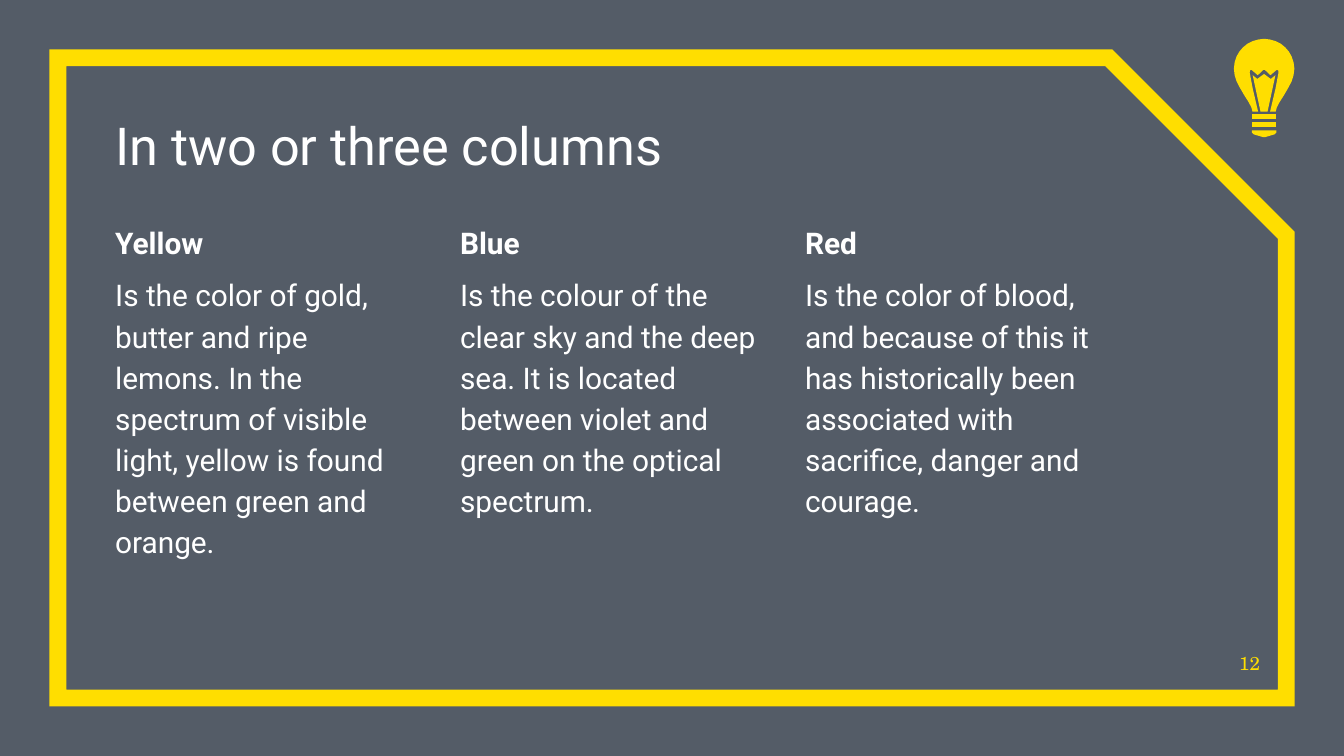
from lxml import etree
from pptx import Presentation
from pptx.dml.color import RGBColor
from pptx.enum.shapes import MSO_SHAPE
from pptx.enum.text import MSO_ANCHOR, MSO_AUTO_SIZE, PP_ALIGN
from pptx.oxml.ns import qn
from pptx.util import Pt

RECTANGLE = MSO_SHAPE.RECTANGLE
SNIPPED_RECTANGLE = MSO_SHAPE.SNIP_1_RECTANGLE
TOP, BOTTOM = MSO_ANCHOR.TOP, MSO_ANCHOR.BOTTOM
LEFT, RIGHT = PP_ALIGN.LEFT, PP_ALIGN.RIGHT
NO_AUTOFIT = MSO_AUTO_SIZE.NONE

WIDTH, HEIGHT = 720, 405
NAVY, YELLOW, WHITE, BLACK = "040F20", "FFDE00", "FFFFFF", "000000"
BODY_FONT, NUMBER_FONT = "Roboto", "TeX Gyre Schola"
MARGIN = 61.7
COLUMN_TOP, COLUMN_WIDTH, COLUMN_HEIGHT, COLUMN_PITCH = 117.5, 159, 224, 184.8

COLUMNS = [
    ("Yellow", "Is the color of gold, butter and ripe lemons. In the spectrum of "
     "visible light, yellow is found between green and orange."),
    ("Blue", "Is the colour of the clear sky and the deep sea. It is located "
     "between violet and green on the optical spectrum."),
    ("Red", "Is the color of blood, and because of this it has historically been "
     "associated with sacrifice, danger and courage."),
]

BULB_CENTER = 677.2
BULB_HALVES = [
    [(6.5, 65.5), (6.5, 68.2)],
    [(6.5, 61.2), (6.5, 63.9)],
    [(6.5, 69.8), (6.5, 71), (5.6, 72), (0.8, 73.4), (0, 73.5)],
    [(0, 39.6), (3.2, 42), (3.6, 42.3), (4, 42), (6.1, 40.3), (1.9, 59.8)],
    [(0, 20.8), (3.2, 21.2), (6.2, 22.1), (9, 23.5), (11.3, 25.4), (13.2, 27.6),
     (14.7, 30.2), (15.8, 33.4), (16.2, 36.8), (15.8, 40.3), (14.8, 43.5),
     (13.2, 46.6), (10.6, 51.1), (8.3, 54.7), (6.8, 57.6), (6.2, 59.8),
     (3.2, 59.8), (6.1, 47.5), (7.7, 38.9), (7.6, 37.9), (7, 37.4),
     (6.6, 37.6), (3.4, 40.3), (0.5, 37.6), (0, 37.4)],
]


def color(value):
    return RGBColor.from_string(value)


def place(shape, left, top, width, height):
    shape.left, shape.top = Pt(left), Pt(top)
    shape.width, shape.height = Pt(width), Pt(height)


def prepare_frame(shape, anchor):
    frame = shape.text_frame
    frame.auto_size = NO_AUTOFIT
    frame.word_wrap = True
    frame.vertical_anchor = anchor
    frame.margin_left = frame.margin_top = frame.margin_right = frame.margin_bottom = 0
    return frame


def format_run(paragraph, size, value, name, bold=False):
    font = paragraph.runs[0].font
    font.size, font.bold, font.name = Pt(size), bold, name
    font.color.rgb = color(value)


def add_text_box(slide, left, top, width, height, anchor):
    box = slide.shapes.add_textbox(Pt(left), Pt(top), Pt(width), Pt(height))
    return prepare_frame(box, anchor)


def add_background(slide):
    shape = slide.shapes.add_shape(RECTANGLE, 0, 0, Pt(WIDTH), Pt(HEIGHT))
    shape.shadow.inherit = False
    shape.line.fill.background()
    shape.fill.solid()
    shape.fill.fore_color.rgb = color(NAVY)
    rgb = shape.element.spPr.find(".//" + qn("a:srgbClr"))
    etree.SubElement(rgb, qn("a:alpha"), val="68000")


def add_border(slide):
    shape = slide.shapes.add_shape(
        SNIPPED_RECTANGLE, Pt(31), Pt(31), Pt(658), Pt(373.5 - 31 + 0.5))
    shape.adjustments[0] = 0.277
    shape.shadow.inherit = False
    shape.fill.background()
    shape.line.color.rgb = color(YELLOW)
    shape.line.width = Pt(9)
    line = shape.element.spPr.find(qn("a:ln"))
    etree.SubElement(line, qn("a:miter"), lim="800000")


def add_title(slide, text):
    title = slide.shapes.title
    title.element.getparent().append(title.element)
    place(title, MARGIN, 56, 529, 38.5)
    frame = prepare_frame(title, BOTTOM)
    frame.text = text
    paragraph = frame.paragraphs[0]
    paragraph.alignment = LEFT
    format_run(paragraph, 28, WHITE, BODY_FONT)
    fill = paragraph.runs[0].font.fill
    fill.solid()
    fill.fore_color.rgb = color(WHITE)
    add_text_shadow(paragraph.runs[0])


def add_text_shadow(run):
    effects = etree.Element(qn("a:effectLst"))
    shadow = etree.SubElement(effects, qn("a:outerShdw"), blurRad="38100",
                              dist="38100", dir="2700000", algn="tl")
    rgb = etree.SubElement(shadow, qn("a:srgbClr"), val=BLACK)
    etree.SubElement(rgb, qn("a:alpha"), val="43000")
    run.font.fill
    run_properties = run.font.fill and run._r.get_or_add_rPr()
    run_properties.find(qn("a:solidFill")).addnext(effects)


def add_column(slide, left, heading, body):
    frame = add_text_box(slide, left, COLUMN_TOP, COLUMN_WIDTH, COLUMN_HEIGHT, TOP)
    frame.text = heading
    body_paragraph = frame.add_paragraph()
    body_paragraph.text = body
    body_paragraph.space_before = Pt(6)
    for paragraph in frame.paragraphs:
        paragraph.line_spacing = 1.15
        format_run(paragraph, 16, WHITE, BODY_FONT, paragraph.text == heading)


def add_slide_number(slide, text):
    frame = add_text_box(slide, 656, 341.5, 19, 20, BOTTOM)
    frame.text = text
    paragraph = frame.paragraphs[0]
    paragraph.alignment = RIGHT
    format_run(paragraph, 10, YELLOW, NUMBER_FONT)


def add_mirrored_outline(group, half):
    left = [(BULB_CENTER - offset, y) for offset, y in half]
    right = [(BULB_CENTER + offset, y) for offset, y in reversed(half)]
    points = [(round(x * 100), round(y * 100)) for x, y in left + right]
    builder = group.shapes.build_freeform(*points[0], scale=Pt(1) / 100)
    builder.add_line_segments(points[1:], close=True)
    shape = builder.convert_to_shape()
    shape.shadow.inherit = False
    shape.line.fill.background()
    shape.fill.solid()
    shape.fill.fore_color.rgb = color(YELLOW)


def add_bulb(slide):
    group = slide.shapes.add_group_shape()
    for half in BULB_HALVES:
        add_mirrored_outline(group, half)


def main():
    presentation = Presentation()
    presentation.slide_width, presentation.slide_height = Pt(WIDTH), Pt(HEIGHT)
    slide = presentation.slides.add_slide(presentation.slide_layouts[5])
    add_background(slide)
    add_border(slide)
    add_title(slide, "In two or three columns")
    for index, (heading, body) in enumerate(COLUMNS):
        add_column(slide, MARGIN + index * COLUMN_PITCH, heading, body)
    add_slide_number(slide, "12")
    add_bulb(slide)
    presentation.save("out.pptx")


if __name__ == "__main__":
    main()
